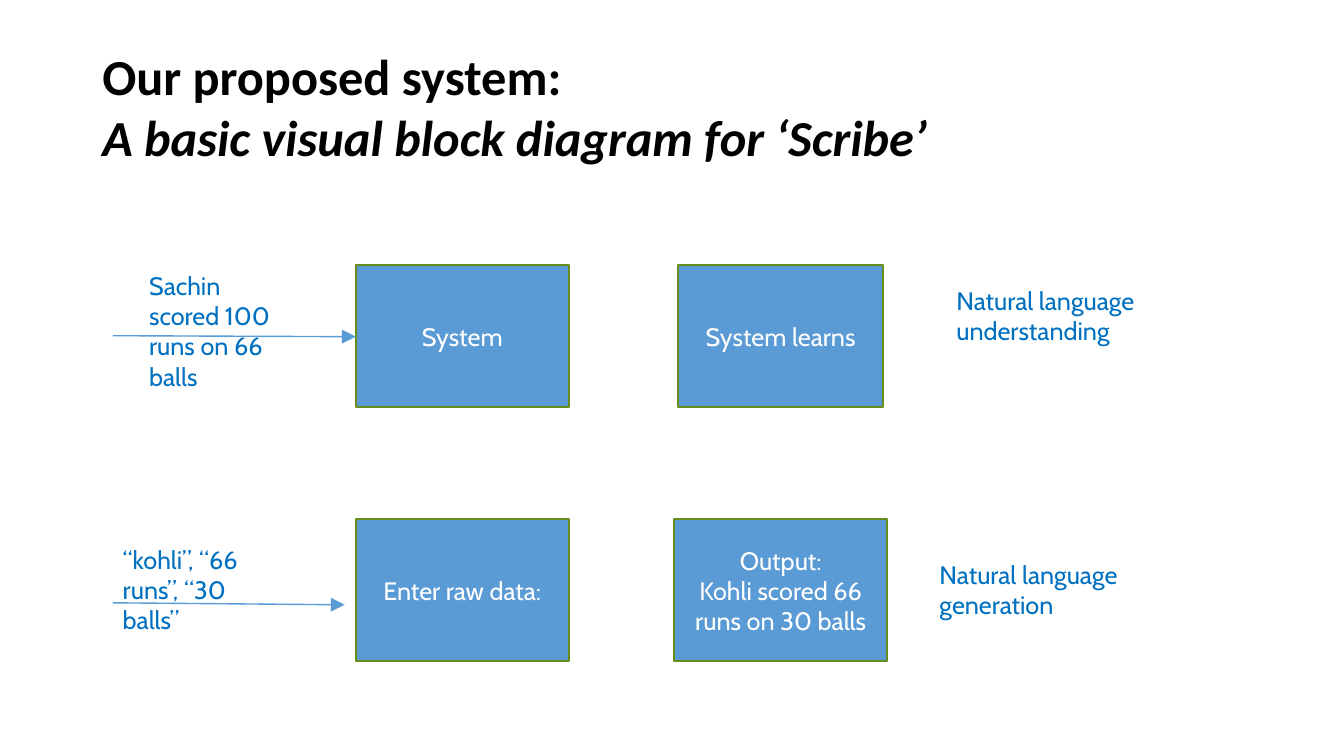
from lxml import etree
from pptx import Presentation
from pptx.dml.color import RGBColor
from pptx.enum import shapes, text
from pptx.oxml import ns
from pptx.util import Pt

COLORS = {"title": "000000", "box": "5B9BD5", "edge": "698D1B",
          "label": "0070C0", "box_text": "FFFFFF"}

TITLE = [("Our proposed system:", False),
         ("A basic visual block diagram for ‘Scribe’", True)]
TITLE_AT = (66, 28.8, 828, 134.6)

BOX_HEIGHT = 101.5
ROWS = [
    {"top": 189.4,
     "boxes": [(254.2, 152, ["System"]),
               (484.5, 146.2, ["System learns"])],
     "labels": [(99.4, 189.4, 106.6, 94.3, "Sachin scored 100 runs on 66 balls"),
                (676, 200.2, 147.6, 72.7, "Natural language understanding")],
     "arrow": (80.6, 239.8, 254.2, 240.5)},
    {"top": 370.8,
     "boxes": [(254.2, 152, ["Enter raw data:"]),
               (481.7, 152, ["Output:", "Kohli scored 66 runs on 30 balls"])],
     "labels": [(80.6, 385.2, 114.5, 72.7, "“kohli”, “66 runs”, “30 balls”"),
                (664, 396, 170.6, 51.1, "Natural language generation")],
     "arrow": (80.6, 430.6, 246.2, 432)},
]


def rgb(name):
    return RGBColor.from_string(COLORS[name])


def add_run(p, content, size=18, font="Cabin", color="label", bold=False, italic=False):
    r = p.add_run()
    r.text = content
    r.font.size = Pt(size)
    r.font.name = font
    r.font.bold = bold
    r.font.italic = italic
    r.font.color.rgb = rgb(color)


def add_textbox(slide, at):
    tf = slide.shapes.add_textbox(*map(Pt, at)).text_frame
    tf.word_wrap = True
    return tf


def add_title(slide):
    p = add_textbox(slide, TITLE_AT).paragraphs[0]
    for i, (line, italic) in enumerate(TITLE):
        if i:
            p.add_line_break()
        add_run(p, line, size=36, font="Calibri", color="title", bold=True, italic=italic)


def add_box(slide, left, top, width, lines):
    sp = slide.shapes.add_shape(shapes.MSO_SHAPE.RECTANGLE,
                                *map(Pt, (left, top, width, BOX_HEIGHT)))
    sp.shadow.inherit = False
    sp.fill.solid()
    sp.fill.fore_color.rgb = rgb("box")
    sp.line.color.rgb = rgb("edge")
    sp.line.width = Pt(1.5)
    tf = sp.text_frame
    tf.word_wrap = True
    tf.vertical_anchor = text.MSO_ANCHOR.MIDDLE
    for i, line in enumerate(lines):
        p = tf.add_paragraph() if i else tf.paragraphs[0]
        p.alignment = text.PP_ALIGN.CENTER
        add_run(p, line, color="box_text")


def add_arrow(slide, ends):
    cx = slide.shapes.add_connector(shapes.MSO_CONNECTOR.STRAIGHT, *map(Pt, ends))
    cx.line.color.rgb = rgb("box")
    cx.line.width = Pt(1)
    ln = cx.line._get_or_add_ln()
    etree.SubElement(ln, ns.qn("a:tailEnd"), type="triangle", w="lg", len="lg")
    etree.SubElement(ln.getparent(), ns.qn("a:effectLst"))


def main():
    prs = Presentation()
    prs.slide_width, prs.slide_height = Pt(960), Pt(540)
    slide = prs.slides.add_slide(prs.slide_layouts[6])
    add_title(slide)
    for row in ROWS:
        for left, width, lines in row["boxes"]:
            add_box(slide, left, row["top"], width, lines)
        for *at, label in row["labels"]:
            add_run(add_textbox(slide, at).paragraphs[0], label)
        add_arrow(slide, row["arrow"])
    prs.save("out.pptx")


if __name__ == "__main__":
    main()
